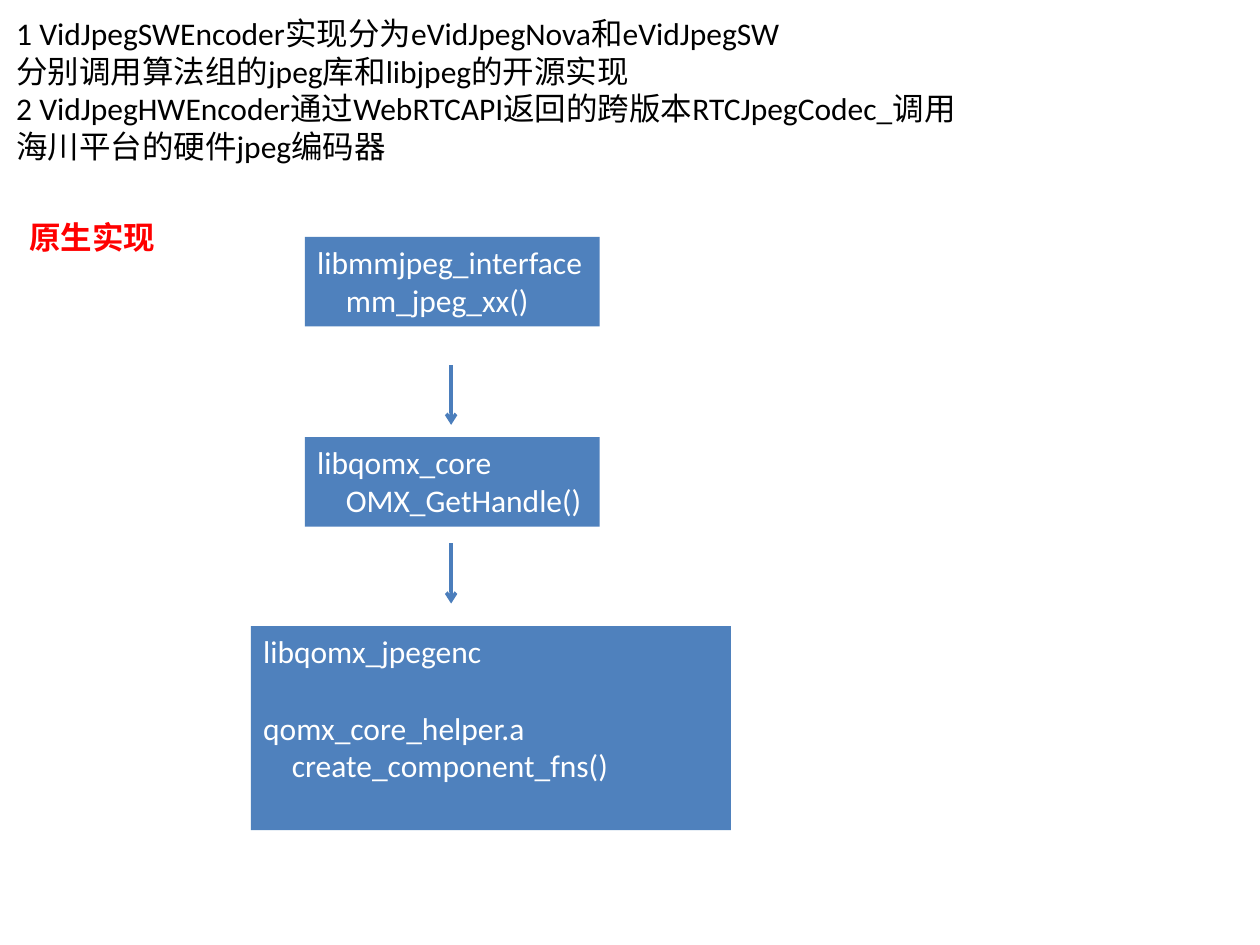
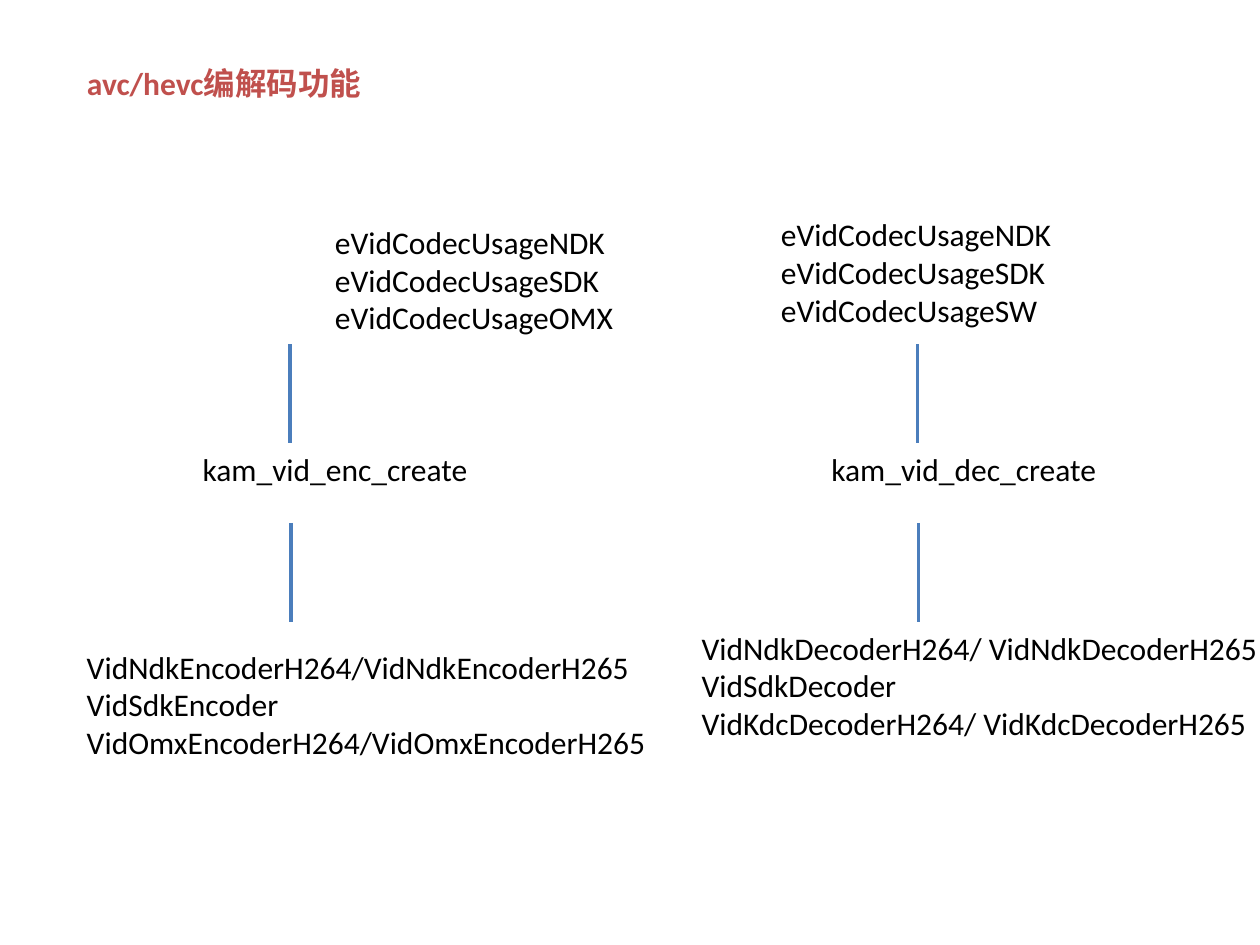
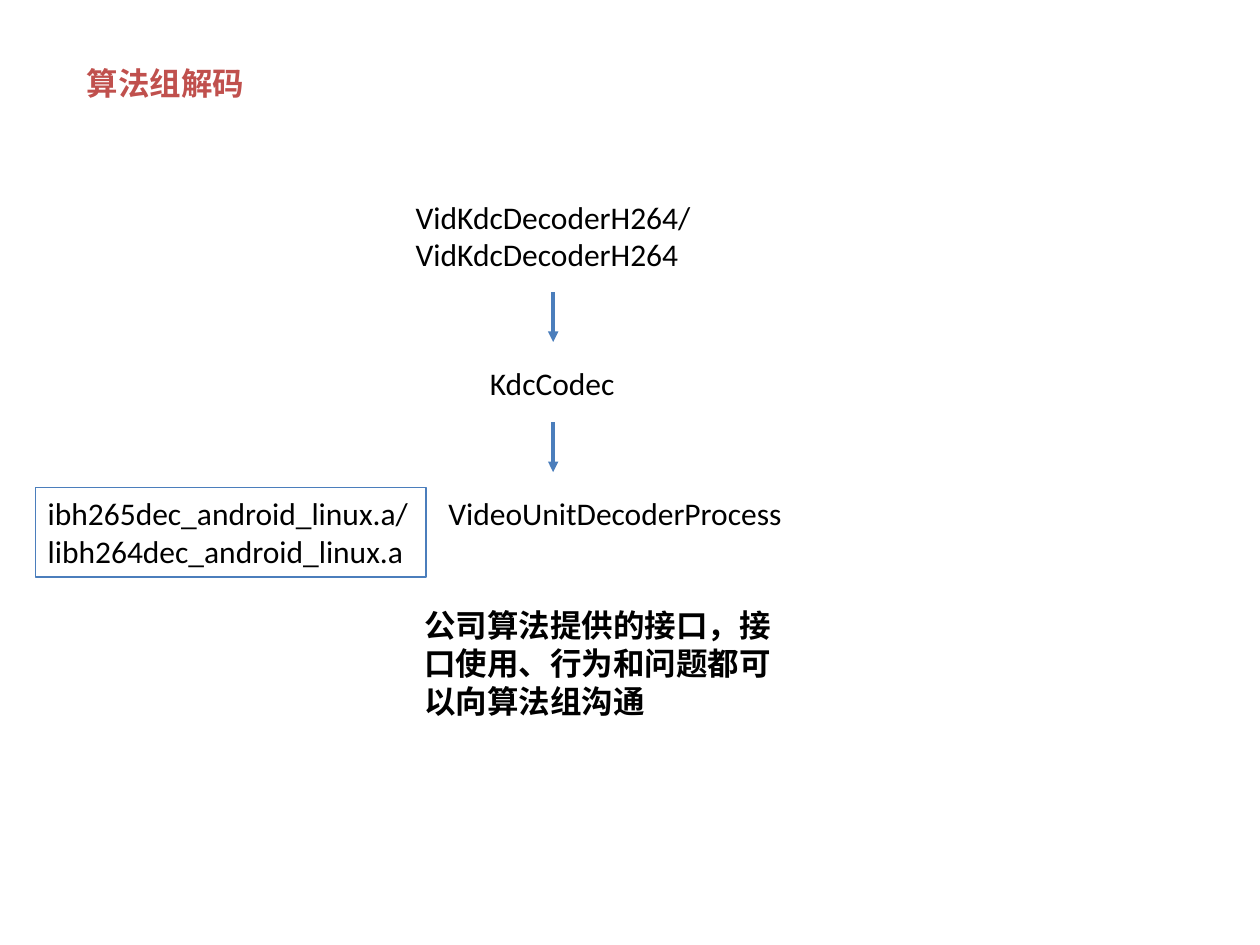
from lxml.etree import SubElement
from pptx import Presentation
from pptx.dml.color import RGBColor
from pptx.enum.shapes import MSO_CONNECTOR, MSO_SHAPE
from pptx.enum.text import MSO_ANCHOR, MSO_AUTO_SIZE, PP_ALIGN
from pptx.oxml.ns import qn
from pptx.util import Pt

BLACK, WHITE, RED, BRICK = "000000", "FFFFFF", "FF0000", "C0504D"
BLUE, LINE_BLUE = "4F81BD", "4B7EBC"
FRAME = {"word_wrap": True, "auto_size": MSO_AUTO_SIZE.NONE, "vertical_anchor": MSO_ANCHOR.TOP,
         "margin_left": Pt(7.2), "margin_right": Pt(7.2), "margin_top": Pt(3.6), "margin_bottom": Pt(3.6)}
FONT = {"name": "Calibri", "size": Pt(18)}
LINE_HEIGHT = 22
INDENT = 16.4
TITLE_HEIGHT = LABEL_HEIGHT = 28.8
PAIR_HEIGHT, TRIPLE_HEIGHT = 51.1, 72.7


def write(sp, at, lines, color=BLACK, bold=False):
    sp.left, sp.top, sp.width, sp.height = [Pt(v) for v in at]
    tf = sp.text_frame
    for key, value in FRAME.items():
        setattr(tf, key, value)
    for i, line in enumerate(lines):
        p = tf.add_paragraph() if i else tf.paragraphs[0]
        p.alignment = PP_ALIGN.LEFT
        r = p.add_run()
        r.text = line
        for key, value in {**FONT, "bold": bold}.items():
            setattr(r.font, key, value)
        r.font.color.rgb = RGBColor.from_string(color)
    return tf


def add_line(s, x, top, bottom, tail=None):
    line = s.shapes.add_connector(MSO_CONNECTOR.STRAIGHT, Pt(x), Pt(top), Pt(x), Pt(bottom))
    line.line.width = Pt(2)
    line.line.color.rgb = RGBColor.from_string(LINE_BLUE)
    if tail:
        SubElement(line.line._get_or_add_ln(), qn("a:tailEnd"), type=tail)
    SubElement(line._element.spPr, qn("a:effectLst"))


prs = Presentation()
prs.slide_width, prs.slide_height = Pt(720), Pt(540)

titles = [
    ("原生实现", 9.4, 121, 87.1, RED),
    ("avc/hevc编解码功能", 42.5, 33.1, 173.5, BRICK),
    ("算法组解码", 42.5, 33.1, 106, BRICK),
]
for title, left, top, width, color in titles:
    s = prs.slides.add_slide(prs.slide_layouts[5])
    write(s.shapes.title, (left, top, width, TITLE_HEIGHT), [title], color, True)
jpeg, codec, decoding = prs.slides

write(jpeg.shapes.add_textbox(0, 0, 0, 0), (2.2, 4.3, 557.3, 94.3), [
    "1 VidJpegSWEncoder实现分为eVidJpegNova和eVidJpegSW",
    "分别调用算法组的jpeg库和libjpeg的开源实现",
    "2 VidJpegHWEncoder通过WebRTCAPI返回的跨版本RTCJpegCodec_调用",
    "海川平台的硬件jpeg编码器",
])
libraries = [
    ((174.2, 135.4, 168.5, PAIR_HEIGHT), ["libmmjpeg_interface", "mm_jpeg_xx()"]),
    ((174.2, 249.8, 168.5, PAIR_HEIGHT), ["libqomx_core", "OMX_GetHandle()"]),
    ((143.3, 357.8, 274.3, 116.6), ["libqomx_jpegenc", "qomx_core_helper.a", "create_component_fns()"]),
]
for at, lines in libraries:
    sp = jpeg.shapes.add_shape(MSO_SHAPE.RECTANGLE, 0, 0, 0, 0)
    sp.shadow.inherit = False
    sp.fill.solid()
    sp.fill.fore_color.rgb = RGBColor.from_string(BLUE)
    sp.line.fill.background()
    tf = write(sp, at, lines, WHITE)
    tf.paragraphs[-1]._p.get_or_add_pPr().set("marL", str(Pt(INDENT)))
    for p in tf.paragraphs[1:-1]:
        p.space_before = Pt(LINE_HEIGHT)
for top, bottom in [(208.8, 242.8), (310.5, 344.9)]:
    add_line(jpeg, 257.8, top, bottom, "arrow")

codec_texts = [
    (184.3, 123.8, 177, TRIPLE_HEIGHT, ["eVidCodecUsageNDK", "eVidCodecUsageSDK", "eVidCodecUsageOMX"]),
    (108.7, 253.4, 168.5, LABEL_HEIGHT, ["kam_vid_enc_create"]),
    (42.5, 366.5, 338, TRIPLE_HEIGHT, [
        "VidNdkEncoderH264/VidNdkEncoderH265", "VidSdkEncoder", "VidOmxEncoderH264/VidOmxEncoderH265"]),
    (439.2, 119.5, 172, TRIPLE_HEIGHT, ["eVidCodecUsageNDK", "eVidCodecUsageSDK", "eVidCodecUsageSW"]),
    (468, 253.4, 168.5, LABEL_HEIGHT, ["kam_vid_dec_create"]),
    (393.8, 355.7, 337, TRIPLE_HEIGHT, [
        "VidNdkDecoderH264/ VidNdkDecoderH265", "VidSdkDecoder", "VidKdcDecoderH264/ VidKdcDecoderH265"]),
]
for *at, lines in codec_texts:
    write(codec.shapes.add_textbox(0, 0, 0, 0), at, lines)
for x in (165.6, 524.2):
    add_line(codec, x, 196.6, 253.4)
    add_line(codec, x + 0.7, 298.8, 355.7)

decoding_texts = [
    (230.4, 109.4, 174, PAIR_HEIGHT, ["VidKdcDecoderH264/", "VidKdcDecoderH264"], False),
    (272.9, 204.5, 88, LABEL_HEIGHT, ["KdcCodec"], False),
    (249.1, 278.6, 209, LABEL_HEIGHT, ["VideoUnitDecoderProcess"], False),
    (235.4, 342.7, 221, TRIPLE_HEIGHT, ["公司算法提供的接口，接口使用、行为和问题都可以向算法组沟通"], True),
]
for *at, lines, bold in decoding_texts:
    write(decoding.shapes.add_textbox(0, 0, 0, 0), at, lines, bold=bold)
for top in (167, 241.4):
    add_line(decoding, 316.1, top, top + 28.4, "triangle")
sp = decoding.shapes.add_shape(MSO_SHAPE.RECTANGLE, 0, 0, 0, 0)
sp.shadow.inherit = False
sp.fill.background()
sp.line.width = Pt(0.75)
sp.line.color.rgb = RGBColor.from_string(LINE_BLUE)
write(sp, (20.2, 278.6, 223.2, PAIR_HEIGHT), ["ibh265dec_android_linux.a/", "libh264dec_android_linux.a"])

prs.save("out.pptx")
